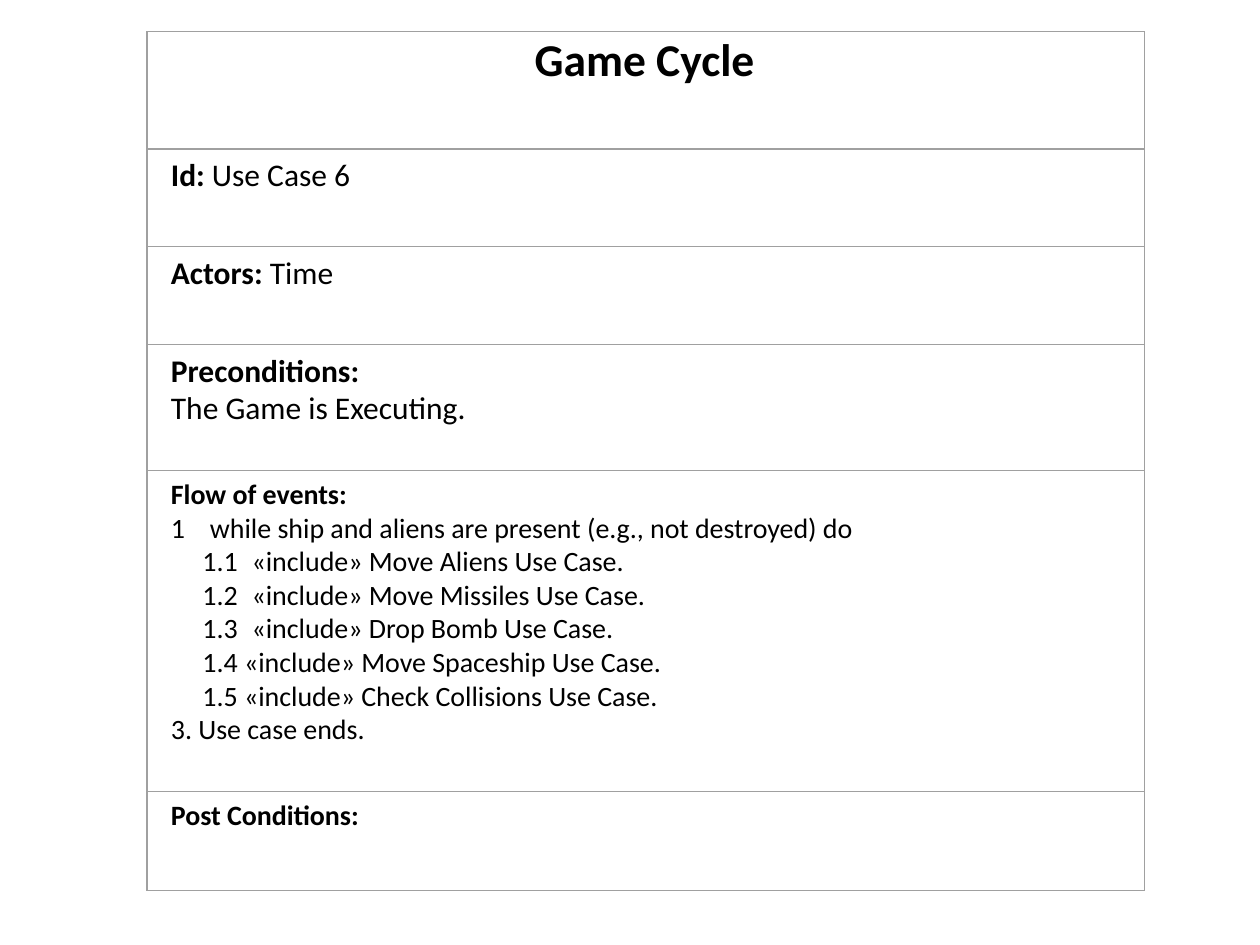
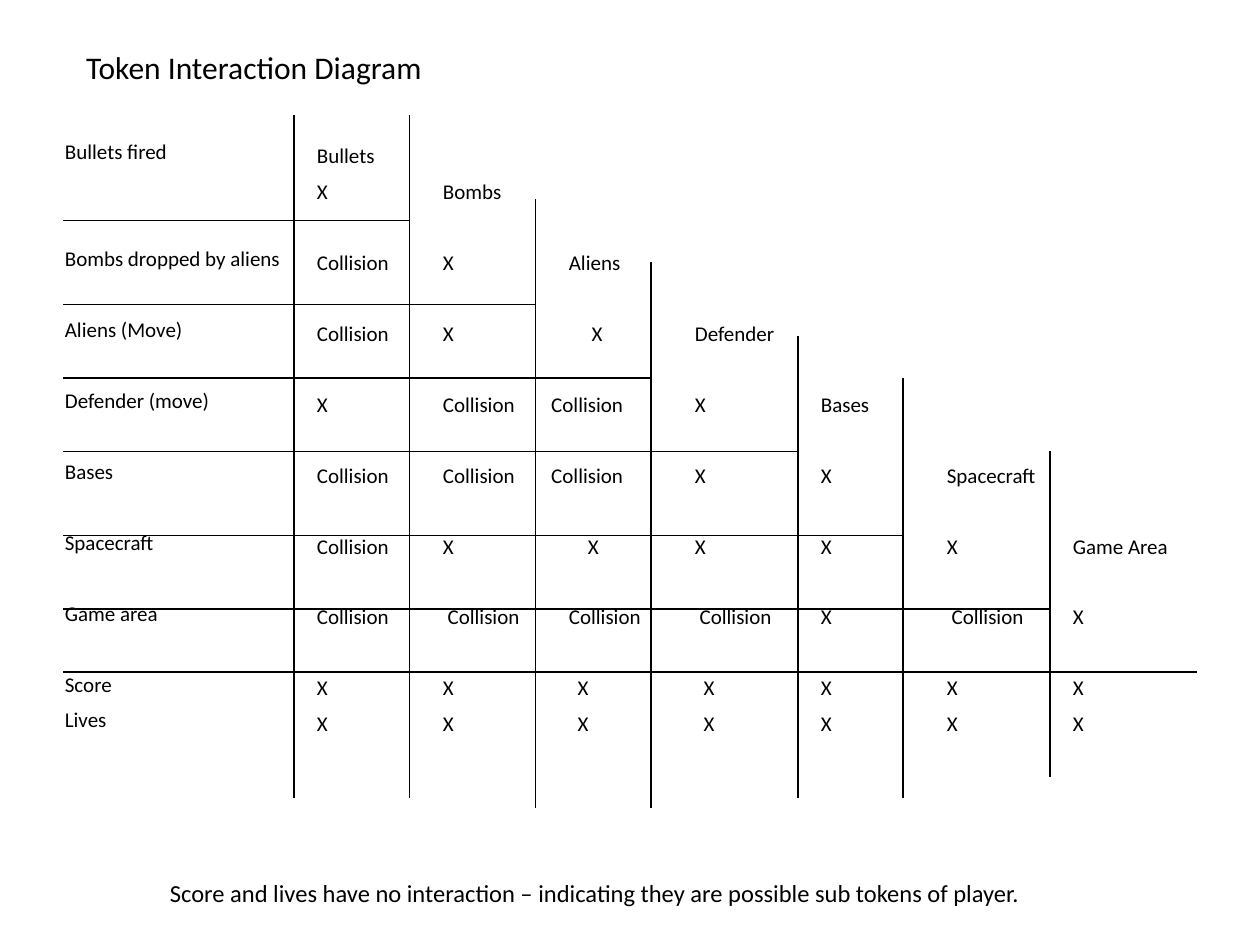
"""Build a use case card and a token interaction matrix on a grid of twelfths of an inch."""
from lxml import etree
from pptx import Presentation
from pptx.dml.color import RGBColor
from pptx.enum.shapes import MSO_CONNECTOR, MSO_SHAPE
from pptx.enum.text import MSO_ANCHOR, PP_ALIGN
from pptx.oxml.ns import qn
from pptx.util import Inches, Pt

BLACK = RGBColor(0x00, 0x00, 0x00)
GRAY = RGBColor(0xA0, 0xA0, 0xA0)
FONT = "Calibri"
UNIT = Inches(1) / 12
ROW_GAP = 5.75
ROW_PITCH = 20.4

deck = Presentation()
deck.slide_width, deck.slide_height = Inches(10), Inches(7.5)
title_only = deck.slide_layouts[5]


def add_title(text, area, size, bold, align, inset):
    page = deck.slides.add_slide(title_only)
    title = page.shapes.title
    title.left, title.top, title.width, title.height = [int(n * UNIT) for n in area]
    frame = title.text_frame
    frame.text = text
    frame.vertical_anchor = MSO_ANCHOR.TOP
    frame.margin_left = frame.margin_right = Inches(inset)
    frame.margin_top = frame.margin_bottom = Inches(inset / 2)
    para = frame.paragraphs[0]
    para.alignment = align
    font = para.runs[0].font
    font.name, font.size, font.bold, font.color.rgb = FONT, Pt(size), bold, BLACK
    return page


def add_text(page, area, size, lines):
    box = page.shapes.add_textbox(*[int(n * UNIT) for n in area])
    frame = box.text_frame
    frame.word_wrap = True
    for index, (strong, plain, space, stops) in enumerate(lines):
        para = frame.add_paragraph() if index else frame.paragraphs[0]
        para.space_before = Pt(space if index else 0)
        for text, bold in ((strong, True), (plain, False)):
            if text:
                span = para.add_run()
                span.text = text
                font = span.font
                font.name, font.size, font.bold = FONT, Pt(size), bold
                font.color.rgb = BLACK
        if stops:
            tabs = etree.SubElement(para._p.get_or_add_pPr(), qn("a:tabLst"))
            for stop in stops:
                etree.SubElement(tabs, qn("a:tab"), pos=str(Inches(stop)), algn="l")
    return frame


card_left, card_top, card_width = 14, 3, 95
text_left, text_width = 15.1, 92.6
title_height = 11.2

steps = [
    ("1\twhile ship and aliens are present (e.g., not destroyed) do", (0.31,)),
    ("\t1.1\t«include» Move Aliens Use Case.", (0.25, 0.64)),
    ("\t1.2\t«include» Move Missiles Use Case.", (0.25, 0.64)),
    ("\t1.3\t«include» Drop Bomb Use Case.", (0.25, 0.64)),
    ("\t1.4 «include» Move Spaceship Use Case.", (0.25,)),
    ("\t1.5 «include» Check Collisions Use Case.", (0.25,)),
    ("3. Use case ends.", ()),
]
sections = [
    (9.3, 18, [("Id:", " Use Case 6", 0, ())]),
    (9.3, 18, [("Actors: ", "Time", 0, ())]),
    (12, 18, [("Preconditions:", "", 0, ()), ("", "The Game is Executing.", 0, ())]),
    (30.6, 16, [("Flow of events:", "", 0, ())] + [("", text, 0, stops) for text, stops in steps]),
    (9.4, 16, [("Post Conditions:", "", 0, ())]),
]

card = add_title("Game Cycle", (text_left, card_top, text_width, title_height), 26, True, PP_ALIGN.CENTER, 0)
frames = [(card_top, title_height, 0)]
top = card_top + title_height
for height, size, lines in sections:
    add_text(card, (text_left, top, text_width, height), size, lines)
    frames.append((top, height, 0))
    top += height
frames.append((card_top, top - card_top, 0.5))
for top, height, weight in frames:
    area = [int(n * UNIT) for n in (card_left, top, card_width, height)]
    border = card.shapes.add_shape(MSO_SHAPE.RECTANGLE, *area)
    border.shadow.inherit = False
    border.fill.background()
    border.line.color.rgb = GRAY
    border.line.width = Pt(weight)

matrix = add_title("Token Interaction Diagram", (7, 4, 61, 6), 18, False, PP_ALIGN.LEFT, 0.1)

labels = [
    ("Bullets fired", 0), ("Bombs dropped by aliens", 2), ("Aliens (Move)", 1),
    ("Defender (move)", 1), ("Bases", 1), ("Spacecraft", 1), ("Game area", 1),
    ("Score", 1), ("Lives", 0),
]
add_text(matrix, (5, 12.6, 40, 68.4), 12,
         [("", text, ROW_GAP + blanks * ROW_PITCH, ()) for text, blanks in labels])

cells = [
    ("Bullets", 0, 2, 3),
    ("X\tBombs", 0, 2, 3),
    ("Collision\tX\tAliens", 1, 2, 3),
    ("Collision\tX\tX\tDefender", 1, 2.18, 3),
    ("X\tCollision\tCollision\tX\tBases", 1, 1.86, 3),
    ("Collision\tCollision\tCollision\tX\tX\tSpacecraft", 1, 1.86, 3),
    ("Collision\tX\tX\tX\tX\tX\tGame Area", 1, 2.15, 3),
    ("Collision\t Collision\tCollision\t Collision\tX\t Collision\tX", 1, 2, 3),
    ("X\tX\tX\tX\tX\tX\tX", 1, 2.07, 3.07),
    ("X\tX\tX\tX\tX\tX\tX", 0, 2.07, 3.07),
]
grid_text = add_text(matrix, (29, 9.6, 87, 70.9), 12,
                     [("", text, ROW_GAP + blanks * ROW_PITCH, (1, third, fourth, 4, 5, 6))
                      for text, blanks, third, fourth in cells])
grid_text.margin_top = Inches(0.05) + Pt(ROW_PITCH)

columns = [(28, 11, 76), (39, 11, 76), (51, 19, 77), (62, 25, 77),
           (76, 32, 76), (86, 36, 76), (100, 43, 74)]
rows = [21, 29, 36, 43, 51, 58, 64]
row_ends = [x for x, _, _ in columns[1:]] + [114]
rules = [(x, start, x, end) for x, start, end in columns]
rules += [(6, y, end, y) for y, end in zip(rows, row_ends)]
for ends in rules:
    rule = matrix.shapes.add_connector(MSO_CONNECTOR.STRAIGHT, *[int(n * UNIT) for n in ends])
    rule.line.color.rgb = BLACK
    rule.line.width = Pt(0.75)
    etree.SubElement(rule._element.spPr, qn("a:effectLst"))

note = "Score and lives have no interaction – indicating they are possible sub tokens of player."
add_text(matrix, (15, 83, 95, 4), 14, [("", note, 0, ())])

deck.save("out.pptx")
